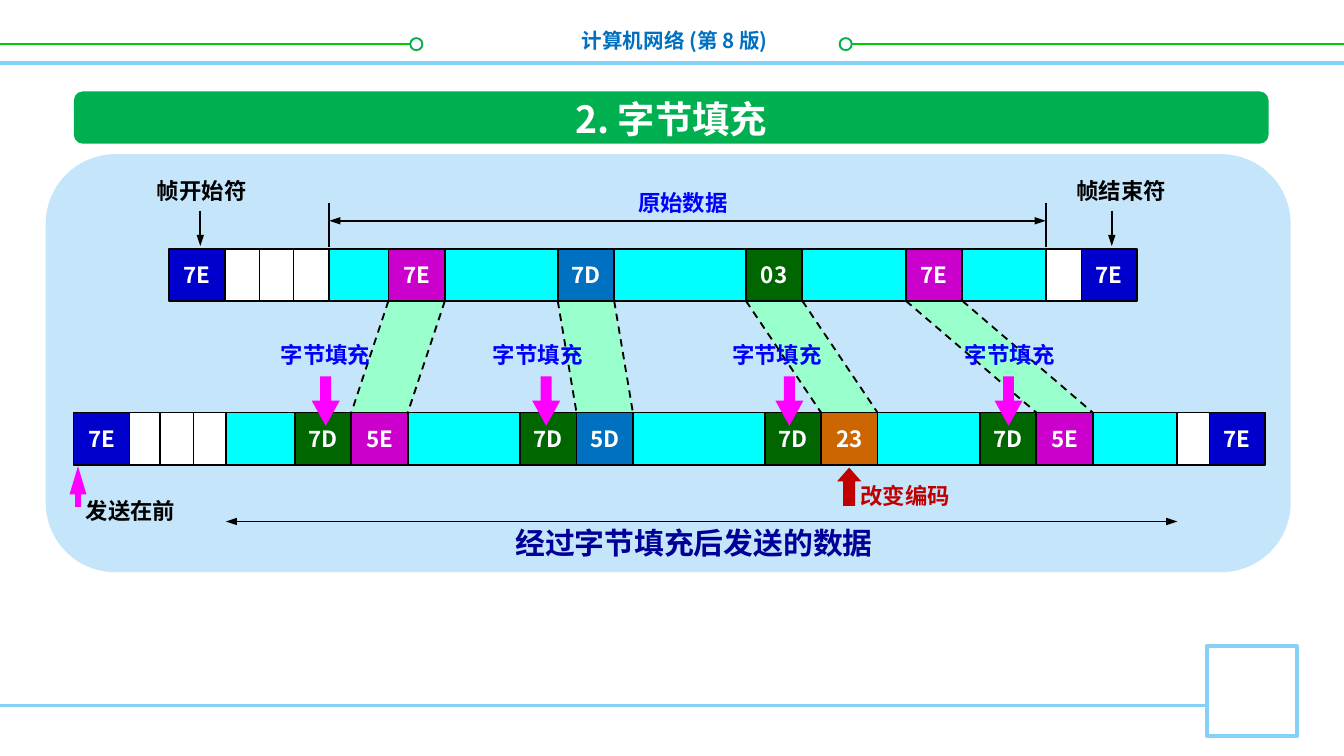
from dataclasses import dataclass

from lxml.etree import SubElement
from pptx import Presentation
from pptx.dml.color import RGBColor
from pptx.enum.dml import MSO_LINE
from pptx.enum.shapes import MSO_CONNECTOR, MSO_SHAPE as Preset
from pptx.enum.text import MSO_ANCHOR as Anchor, MSO_AUTO_SIZE, PP_ALIGN as Align
from pptx.oxml.ns import qn
from pptx.util import Pt

FONT = "Noto Sans CJK SC"
BLACK, WHITE, CYAN = "000000", "FFFFFF", "00FFFF"
NAVY, BLUE, PURPLE, GREEN = "0000CC", "0070C0", "CC00CC", "006600"
LABEL_BLUE, MAGENTA, RED, SKY = "0000FF", "FF00FF", "C00000", "85D1F7"

UPPER, LOWER = 133.2, 221  # tops of the two frames
CELL_WIDTH, CELL_HEIGHT = 30.24, 28
UPPER_BOTTOM = UPPER + CELL_HEIGHT


@dataclass
class Escape:
    """A byte of the data, and the pair of bytes that is sent for it."""
    code: str
    fill: str
    left: float
    sent_code: str
    sent_fill: str
    pair_left: float
    label_left: float
    arrow_left: float

    @property
    def sent_left(self) -> float:
        return self.pair_left + CELL_WIDTH


@dataclass
class Cell:
    left: float
    top: float
    width: float
    fill: str
    code: str = ""


ESCAPES = [
    Escape("7E", PURPLE, 208.1, "5E", PURPLE, 158, 143.3, 167),
    Escape("7D", BLUE, 298.8, "5D", BLUE, 278.6, 257, 285.1),
    Escape("03", GREEN, 399.6, "23", "CC6600", 409.6, 385.2, 415.4),
    Escape("7E", PURPLE, 485.3, "5E", PURPLE, 524.9, 509.8, 532.8),
]

presentation = Presentation()
presentation.slide_width, presentation.slide_height = Pt(720), Pt(405)
slide = presentation.slides.add_slide(presentation.slide_layouts[5])
shapes = slide.shapes


def color(value: str) -> RGBColor:
    return RGBColor.from_string(value)


def write(shape, text: str, *, size=12, fill=BLACK, align=Align.LEFT,
          anchor=Anchor.MIDDLE, wrap=False, spacing=None) -> None:
    frame = shape.text_frame
    frame.auto_size = MSO_AUTO_SIZE.NONE
    frame.word_wrap = wrap
    frame.vertical_anchor = anchor
    paragraph = frame.paragraphs[0]
    paragraph.alignment = align
    if spacing:
        paragraph.line_spacing = Pt(spacing)
    run = paragraph.add_run()
    run.text = text
    run.font.size = Pt(size)
    run.font.bold = True
    run.font.color.rgb = color(fill)
    run.font.name = FONT
    SubElement(run._r.get_or_add_rPr(), qn("a:ea"), typeface=FONT)


def add_label(text: str, left: float, top: float, width=63.4, height=21.6, **text_format) -> None:
    box = shapes.add_textbox(Pt(left), Pt(top), Pt(width), Pt(height))
    write(box, text, **text_format)


def paint(shape, fill: str, line: str | None = None, line_width: float = 1) -> None:
    shape.shadow.inherit = False
    shape.fill.solid()
    shape.fill.fore_color.rgb = color(fill)
    if line:
        shape.line.color.rgb = color(line)
        shape.line.width = Pt(line_width)
    else:
        shape.line.fill.background()


def add_box(preset, left: float, top: float, width: float, height: float, fill: str,
            line: str | None = None, line_width: float = 1, adjustments=()):
    shape = shapes.add_shape(preset, Pt(left), Pt(top), Pt(width), Pt(height))
    for index, value in enumerate(adjustments):
        shape.adjustments[index] = value
    paint(shape, fill, line, line_width)
    return shape


def add_line(x1: float, y1: float, x2: float, y2: float, line=BLACK, width: float = 1,
             dashed=False, ends=(), head=("sm", "med")) -> None:
    connector = shapes.add_connector(MSO_CONNECTOR.STRAIGHT, Pt(x1), Pt(y1), Pt(x2), Pt(y2))
    connector.line.color.rgb = color(line)
    connector.line.width = Pt(width)
    if dashed:
        connector.line.dash_style = MSO_LINE.DASH
    properties = connector._element.spPr
    for end in ends:
        SubElement(properties.find(qn("a:ln")), qn(f"a:{end}"),
                   type="triangle", w=head[0], len=head[1])
    SubElement(properties, qn("a:effectLst"))


def add_cell(cell: Cell) -> None:
    shape = add_box(Preset.RECTANGLE, cell.left, cell.top, cell.width, CELL_HEIGHT,
                    cell.fill, BLACK)
    if cell.code:
        write(shape, cell.code, fill=WHITE, align=Align.CENTER)


def add_band(escape: Escape) -> None:
    builder = shapes.build_freeform(Pt(escape.left), Pt(UPPER_BOTTOM))
    builder.add_line_segments([
        (Pt(escape.left + CELL_WIDTH), Pt(UPPER_BOTTOM)),
        (Pt(escape.sent_left + CELL_WIDTH), Pt(LOWER)),
        (Pt(escape.sent_left), Pt(LOWER)),
    ])
    paint(builder.convert_to_shape(), "99FFCC")


# Page header and footer
add_line(0, 33.8, 720, 33.8, SKY, 2)
for start, end, circle_left in [(0, 223, 219.8), (450, 720, 449.8)]:
    add_line(start, 23.7, end, 23.7, "00CC00")
    add_box(Preset.OVAL, circle_left, 20.4, 6.5, 6.5, WHITE, "00B050")
add_label("计算机网络 (第 8 版)", 301, 11, 117.4, 21, size=11, fill=BLUE,
          align=Align.RIGHT, anchor=Anchor.TOP, wrap=True, spacing=13.4)
add_line(0, 378, 646.6, 378, SKY, 1.5)
add_box(Preset.RECTANGLE, 646.6, 346.3, 48.2, 48.2, WHITE, SKY, 2)

# Title on its bar
add_box(Preset.ROUNDED_RECTANGLE, 39.6, 49, 640, 28, "00B050", adjustments=[0.17])
title = shapes.title
title.left, title.top, title.width, title.height = Pt(296.6), Pt(47.5), Pt(126), Pt(31.7)
write(title, "2. 字节填充", size=20, fill=WHITE, align=Align.CENTER)
title._element.getparent().append(title._element)

# Panel and the bands between the frames
add_box(Preset.ROUNDED_RECTANGLE, 24.5, 82.6, 667, 224, "C5E5FB")
for escape in ESCAPES:
    add_band(escape)

# Both frames: data field, flags and header cells
cells = [Cell(163.4, UPPER, 397.4, CYAN), Cell(121, LOWER, 509.8, CYAN)]
cells += [Cell(left, top, CELL_WIDTH, NAVY, "7E") for left, top in
          [(90.5, UPPER), (578.9, UPPER), (39.4, LOWER), (647.6, LOWER)]]
cells += [Cell(left, UPPER, 19.2, WHITE) for left in (120.8, 139, 157.2, 560.2)]
cells += [Cell(left, LOWER, width, WHITE) for left, width in
          [(69.4, 20.9), (85.7, 20.2), (103.7, 17.3), (630.7, 17.3)]]
for escape in ESCAPES:
    cells += [
        Cell(escape.left, UPPER, CELL_WIDTH, escape.fill, escape.code),
        Cell(escape.pair_left, LOWER, CELL_WIDTH, GREEN, "7D"),
        Cell(escape.sent_left, LOWER, CELL_WIDTH, escape.sent_fill, escape.sent_code),
    ]
for cell in cells:
    add_cell(cell)

# Dashed edges, stuffing labels and arrows
for escape in ESCAPES:
    for offset in (0, CELL_WIDTH):
        add_line(escape.left + offset, UPPER_BOTTOM, escape.sent_left + offset, LOWER, dashed=True)
    add_label("字节填充", escape.label_left, 179.3, fill=LABEL_BLUE)
    add_box(Preset.DOWN_ARROW, escape.arrow_left, 201.6, 15, 26.6, MAGENTA,
            adjustments=[0.39, 0.9])

# Extent of the original data and of the sent data
for x in (176.4, 560.2):
    add_line(x, 108.7, x, 132.5)
for left, right, y in [(176.4, 560.2, 118.3), (121, 630.7, 279.4)]:
    add_line(left, y, right, y, ends=("headEnd", "tailEnd"))
add_label("原始数据", 334.8, 97.9, fill=LABEL_BLUE)
add_label("经过字节填充后发送的数据", 251.3, 277.2, 241.2, 26.6, size=16, fill="000099",
          align=Align.CENTER, wrap=True)

# Frame delimiters, sending order and changed code
for text, label_left, x in [("帧开始符", 77, 107.3), ("帧结束符", 569.5, 595.6)]:
    add_label(text, label_left, 91.4)
    add_line(x, 113, x, 131.8, ends=("tailEnd",))
add_line(41.8, 271.5, 41.8, 249.8, MAGENTA, 3, ends=("tailEnd",), head=("med", "lg"))
add_label("发送在前", 38.9, 262.8)
add_box(Preset.UP_ARROW, 448.4, 250.5, 13, 20.5, RED, adjustments=[0.5, 0.57])
add_label("改变编码", 453.8, 254.9, fill=RED)

presentation.save("out.pptx")
